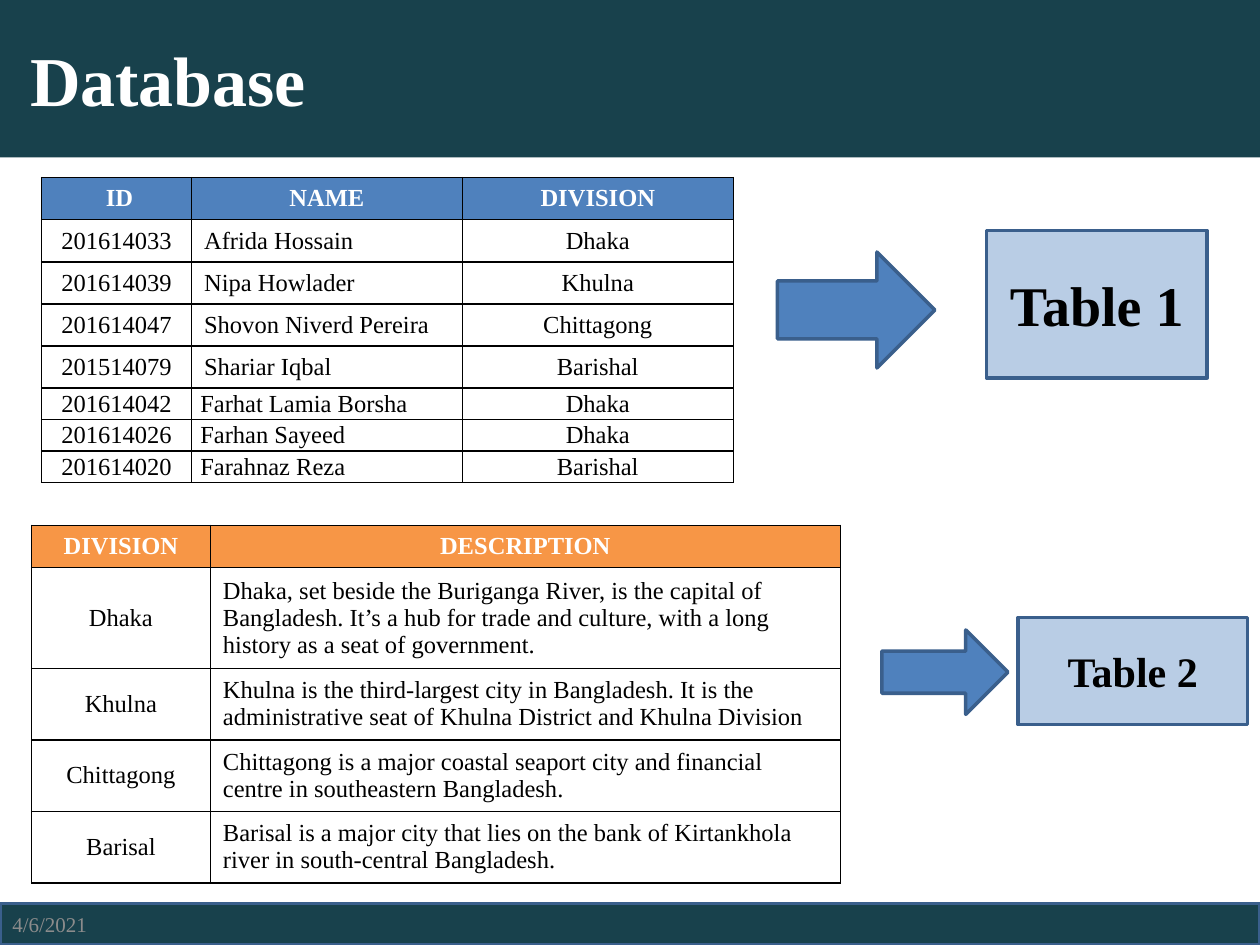
from lxml import etree
from pptx import Presentation
from pptx.dml.color import RGBColor
from pptx.enum import shapes, text
from pptx.oxml import ns
from pptx.util import Inches, Pt

FONT = "Times New Roman"
TEAL = RGBColor(0x18, 0x41, 0x4C)
BLUE = RGBColor(0x4F, 0x81, 0xBD)
PALE_BLUE = RGBColor(0xB9, 0xCD, 0xE5)
OUTLINE = RGBColor(0x3A, 0x5F, 0x8C)
ORANGE = RGBColor(0xF7, 0x96, 0x46)
GREY = RGBColor(0x8C, 0x8C, 0x8C)
WHITE = RGBColor(0xFF, 0xFF, 0xFF)
BLACK = RGBColor(0, 0, 0)
CENTER = text.PP_ALIGN.CENTER
LEFT = text.PP_ALIGN.LEFT
MIDDLE = text.MSO_ANCHOR.MIDDLE
RECTANGLE = shapes.MSO_SHAPE.RECTANGLE
ARROW = shapes.MSO_SHAPE.RIGHT_ARROW

prs = Presentation()
prs.slide_width, prs.slide_height = Inches(10), Inches(7.5)
slide = prs.slides.add_slide(prs.slide_layouts[5])


def write(frame, words, size, color, bold=False, align=LEFT):
    frame.word_wrap = True
    frame.vertical_anchor = MIDDLE
    paragraph = frame.paragraphs[0]
    paragraph.alignment = align
    run = paragraph.add_run()
    run.text = words
    run.font.name = FONT
    run.font.size = Pt(size)
    run.font.bold = bold
    run.font.color.rgb = color


def add_block(kind, box, fill):
    block = slide.shapes.add_shape(kind, *map(Inches, box))
    block.shadow.inherit = False
    block.fill.solid()
    block.fill.fore_color.rgb = fill
    block.line.color.rgb = OUTLINE
    block.line.width = Pt(2)
    return block


add_block(RECTANGLE, (0, 7.17, 10, 0.33), TEAL)

title = slide.shapes.title
title.left, title.top, title.width, title.height = map(Inches, (0, 0, 10, 1.25))
title.fill.solid()
title.fill.fore_color.rgb = TEAL
write(title.text_frame, " Database", 40, WHITE, True)

date = slide.shapes.add_textbox(*map(Inches, (0, 7.17, 2.33, 0.33)))
write(date.text_frame, "4/6/2021", 12, GREY)

students = [
    (" ID", "NAME", "DIVISION"),
    ("201614033", "Afrida Hossain", "Dhaka"),
    ("201614039", "Nipa Howlader", "Khulna"),
    ("201614047", "Shovon Niverd Pereira", "Chittagong"),
    ("201514079", "Shariar Iqbal", "Barishal"),
    ("201614042", "Farhat Lamia Borsha", "Dhaka"),
    ("201614026", "Farhan Sayeed", "Dhaka"),
    ("201614020", "Farahnaz Reza", "Barishal"),
]
divisions = [
    ("DIVISION", "DESCRIPTION"),
    ("Dhaka", "Dhaka, set beside the Buriganga River, is the capital of Bangladesh. "
     "It’s a hub for trade and culture, with a long history as a seat of government. "),
    ("Khulna", "Khulna is the third-largest city in Bangladesh. It is the "
     "administrative seat of Khulna District and Khulna Division"),
    ("Chittagong", "Chittagong is a major coastal seaport city and financial "
     "centre in southeastern Bangladesh."),
    ("Barisal", "Barisal is a major city that lies on the bank of Kirtankhola "
     "river in south-central Bangladesh."),
]
COMPACT = 0.25
tables = [
    (students, 0.33, 1.41, (1.19, 2.15, 2.15), [0.32] * 5 + [COMPACT] * 3, BLUE),
    (divisions, 0.25, 4.17, (1.42, 5), [0.31, 0.75] + [0.53] * 3, ORANGE),
]
for records, left, top, widths, heights, header_fill in tables:
    grid = slide.shapes.add_table(
        len(records), len(widths), Inches(left), Inches(top),
        Inches(sum(widths)), Inches(sum(heights))).table
    for column, width in zip(grid.columns, widths):
        column.width = Inches(width)
    for r, (record, height) in enumerate(zip(records, heights)):
        grid.rows[r].height = Inches(height)
        for c, words in enumerate(record):
            cell = grid.cell(r, c)
            header = r == 0
            align = LEFT if c == 1 and not header else CENTER
            write(cell.text_frame, words, 14, WHITE if header else BLACK, header, align)
            cell.vertical_anchor = MIDDLE
            if height == COMPACT:
                cell.margin_left = cell.margin_right = Inches(0.07)
                cell.margin_top = cell.margin_bottom = 0
            properties = cell._tc.get_or_add_tcPr()
            for side in ("lnL", "lnR", "lnT", "lnB"):
                border = etree.SubElement(properties, ns.qn("a:" + side), w=str(Pt(1)))
                ink = etree.SubElement(border, ns.qn("a:solidFill"))
                etree.SubElement(ink, ns.qn("a:srgbClr"), val=str(BLACK))
            if header:
                cell.fill.solid()
                cell.fill.fore_color.rgb = header_fill
            else:
                cell.fill.background()

labels = [
    ("Table 1", 32, (6.17, 2, 1.25, 0.92), (7.83, 1.83, 1.75, 1.17)),
    ("Table 2", 24, (7, 5, 1, 0.67), (8.08, 4.9, 1.82, 0.85)),
]
for words, size, arrow_box, label_box in labels:
    add_block(ARROW, arrow_box, BLUE)
    label = add_block(RECTANGLE, label_box, PALE_BLUE)
    write(label.text_frame, words, size, BLACK, True, CENTER)

prs.save("out.pptx")
